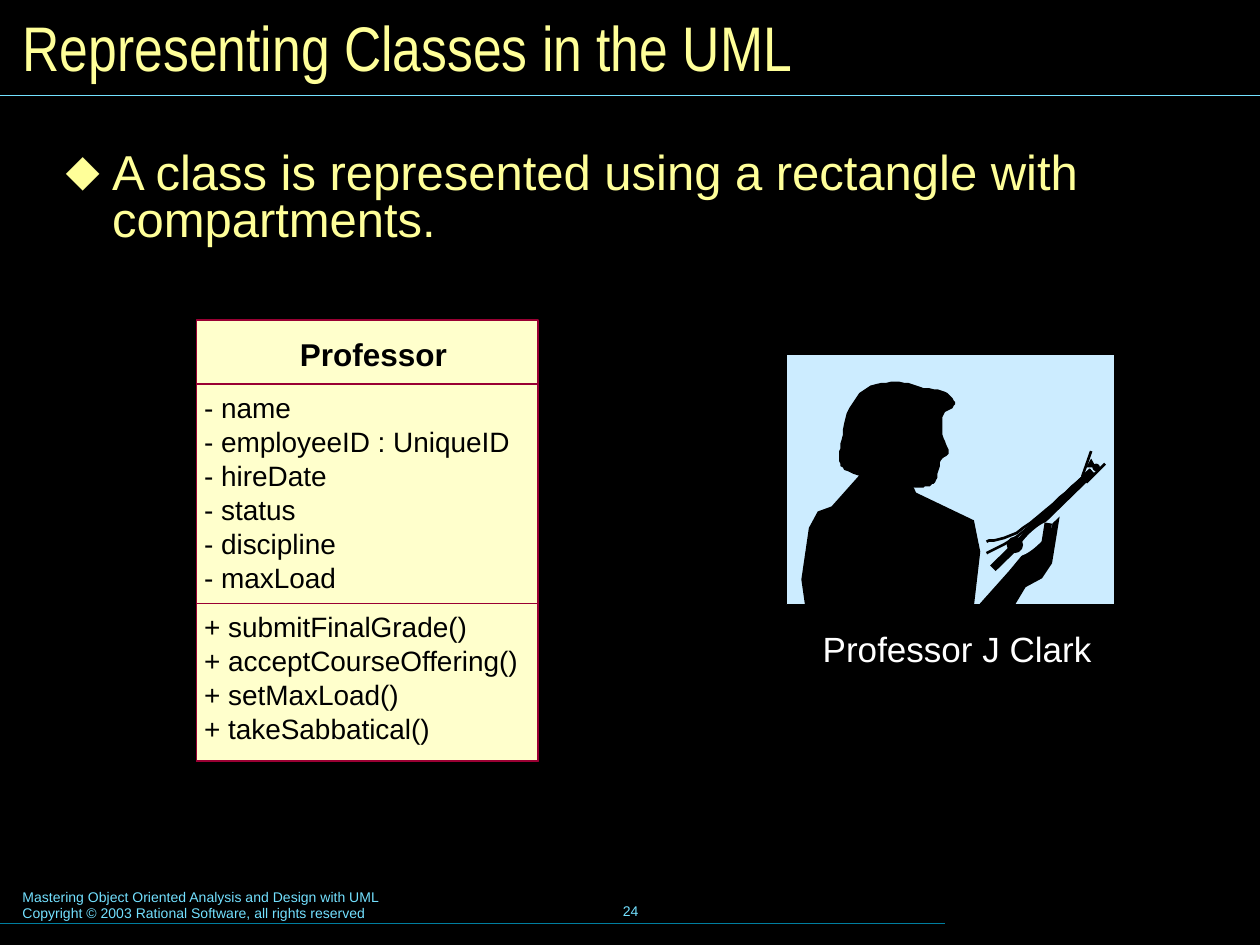
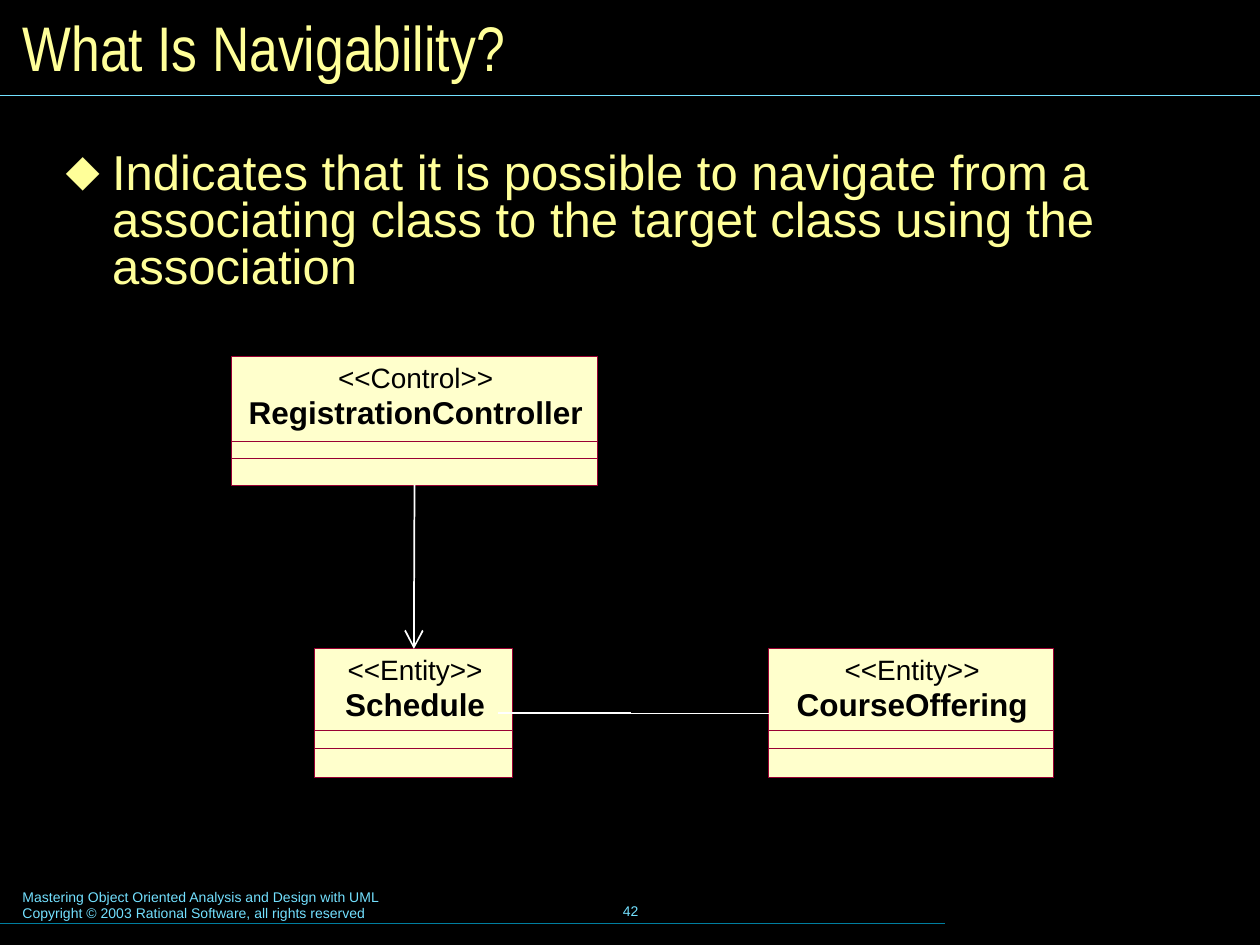
from lxml import etree
from pptx import Presentation
from pptx.dml.color import RGBColor
from pptx.enum.shapes import MSO_CONNECTOR, MSO_SHAPE
from pptx.enum.text import MSO_ANCHOR, MSO_AUTO_SIZE, PP_ALIGN
from pptx.oxml.ns import qn
from pptx.util import Pt

PX = 9144  # 100 px to the inch

BLACK = RGBColor(0x00, 0x00, 0x00)
WHITE = RGBColor(0xFF, 0xFF, 0xFF)
YELLOW = RGBColor(0xFF, 0xFF, 0x99)
CREAM = RGBColor(0xFF, 0xFF, 0xCC)
MAROON = RGBColor(0x99, 0x00, 0x33)
CYAN = RGBColor(0x73, 0xE1, 0xFF)
TEAL = RGBColor(0x00, 0x7E, 0x9F)
SKY = RGBColor(0xCC, 0xEC, 0xFF)

TITLE = dict(name="Arial Narrow", size=Pt(36))
BODY = dict(name="Arial", size=Pt(28))
CAPTION = dict(name="Arial", size=Pt(20))
CLASS_NAME = dict(name="Arial", size=Pt(18), bold=True)
MEMBER = dict(name="Arial", size=Pt(16))
FOOTER = dict(name="Arial", size=Pt(8))

SLIDES = [
    ("Representing Classes in the UML", "24", (888, 552),
     "A class is represented using a rectangle with compartments."),
    ("What Is Navigability?", "42", (910, 297),
     "Indicates that it is possible to navigate from a associating class "
     "to the target class using the association"),
]
COPYRIGHT = ("Mastering Object Oriented Analysis and Design with UML\n"
             "Copyright © 2003 Rational Software, all rights reserved")


def style(shape, fill=None, line=None, width=1):
    """Set fill and line (None for neither); drop theme style and shadow."""
    theme_style = shape._element.find(qn("p:style"))
    if theme_style is not None:
        shape._element.remove(theme_style)
    if hasattr(shape, "fill"):
        if fill is None:
            shape.fill.background()
        else:
            shape.fill.solid()
            shape.fill.fore_color.rgb = fill
    if line is None:
        shape.line.fill.background()
    else:
        shape.line.color.rgb = line
        shape.line.width = Pt(width)
    etree.SubElement(shape._element.spPr, qn("a:effectLst"))


def write(s, box, text, fmt, color, inset=(0, 0), align=PP_ALIGN.LEFT,
          anchor=MSO_ANCHOR.TOP, wrap=False, sp=None):
    """Write into placeholder sp, or into a new text box, at the given box."""
    sp = sp or s.shapes.add_textbox(0, 0, 0, 0)
    sp.left, sp.top, sp.width, sp.height = [v * PX for v in box]
    tf = sp.text_frame
    tf.auto_size = MSO_AUTO_SIZE.NONE
    tf.word_wrap = wrap
    tf.vertical_anchor = anchor
    tf.margin_left = tf.margin_right = inset[0] * PX
    tf.margin_top = tf.margin_bottom = inset[1] * PX
    tf.text = text
    for p in tf.paragraphs:
        p.alignment = align
        for r in p.runs:
            for key, value in fmt.items():
                setattr(r.font, key, value)
            r.font.color.rgb = color


prs = Presentation()
prs.slide_width, prs.slide_height = 1000 * PX, 750 * PX
background = prs.slide_master.background.fill
background.solid()
background.fore_color.rgb = BLACK

# Shared frame: title, bullet, footer and rules
for title, number, body_size, bullet in SLIDES:
    s = prs.slides.add_slide(prs.slide_layouts[1])
    body = s.placeholders[1]
    write(s, (8, 8, 984, 58), title, TITLE, YELLOW, (10, 5),
          anchor=MSO_ANCHOR.MIDDLE, wrap=True, sp=s.shapes.title)
    write(s, (40, 115, *body_size), bullet, BODY, YELLOW, (12, 6),
          wrap=True, sp=body)
    p = body.text_frame.paragraphs[0]
    p.line_spacing = 0.8
    p.space_before = Pt(0)
    pPr = p._p.get_or_add_pPr()
    pPr.set("marL", str(37 * PX))
    pPr.set("indent", str(-37 * PX))
    bu_color = etree.SubElement(pPr, qn("a:buClr"))
    etree.SubElement(bu_color, qn("a:srgbClr")).set("val", str(YELLOW))
    etree.SubElement(pPr, qn("a:buChar")).set("char", "⬥")

    write(s, (8, 700, 510, 37), COPYRIGHT, FOOTER, CYAN, (10, 5), wrap=True)
    write(s, (342, 698, 317, 50), number, FOOTER, CYAN, (10, 5),
          PP_ALIGN.CENTER, MSO_ANCHOR.MIDDLE)
    for y, length, color in [(733, 750, TEAL), (76, 1000, CYAN)]:
        rule = s.shapes.add_connector(MSO_CONNECTOR.STRAIGHT,
                                      0, y * PX, length * PX, y * PX)
        style(rule, line=color, width=0.75)

# Slide 1: silhouette, each part built from a few key points
s = prs.slides[0]
write(s, (641, 492, 237, 45), "Professor J Clark", CAPTION, WHITE, (12, 6))

shoulders = [(639, 481), (636, 460), (642, 419), (649, 406), (660, 402),
             (684, 375), (720, 375), (727, 391), (773, 413), (778, 438),
             (773, 481)]
hand = [(776, 481), (801, 453), (820, 430), (841, 410), (835, 447),
        (827, 459), (814, 466), (805, 481)]
head = [(677, 376), (666, 366), (668, 349), (674, 324), (688, 308),
        (711, 303), (730, 307), (750, 311), (758, 321), (749, 329),
        (748, 345), (753, 359), (747, 365), (743, 381), (736, 386),
        (722, 386)]
upper_string = [(783, 430), (807, 423), (841, 395), (866, 373)]
lower_string = [(783, 439), (807, 426), (841, 396), (866, 374)]

picture = s.shapes.add_group_shape().shapes
sky = picture.add_shape(MSO_SHAPE.RECTANGLE,
                        624 * PX, 281 * PX, 261 * PX, 199 * PX)
style(sky, SKY, BLACK, 0.75)

STEPS = 6  # pieces of curve between two key points
for points, closed, smooth in [
        (shoulders, True, False), (hand, True, False), (head, True, True),
        (upper_string, False, True), (lower_string, False, True)]:
    outline = points
    if smooth:
        # Catmull-Rom spline: a curve that passes through every key point
        before, after = (points[-1:], points[:2]) if closed else (points[:1], points[-1:])
        knots = before + points + after
        outline = []
        for a, b, c, d in zip(knots, knots[1:], knots[2:], knots[3:]):
            for t in [i / STEPS for i in range(STEPS + 1)]:
                outline.append([
                    round(b[k] + t / 2 * (c[k] - a[k]
                          + t * (2 * a[k] - 5 * b[k] + 4 * c[k] - d[k])
                          + t * t * (3 * b[k] - a[k] - 3 * c[k] + d[k])))
                    for k in (0, 1)])
    builder = picture.build_freeform(*outline[0], scale=PX)
    builder.add_line_segments(outline[1:], close=closed)
    part = builder.convert_to_shape()
    if closed:
        style(part, fill=BLACK)
    else:
        style(part, line=BLACK, width=1.5)

tip, fork, bow = (862, 383, 877, 368), (859, 378, 866, 358), (867, 374, 788, 451)
for ends, width in [(tip, 1.5), (fork, 1.5), (bow, 4.5)]:
    stick = picture.add_connector(MSO_CONNECTOR.STRAIGHT,
                                  *[v * PX for v in ends])
    style(stick, line=BLACK, width=width)

palm_gap, thumb = (802, 422, 38, 11), (799, 426, 13, 13)
peg, knob, finger = (862, 364, 8, 7), (867, 368, 6, 6), (827, 415, 6, 26)
for kind, box, angle, fill in [
        (MSO_SHAPE.OVAL, palm_gap, -44, SKY),
        (MSO_SHAPE.OVAL, thumb, 0, BLACK),
        (MSO_SHAPE.ISOSCELES_TRIANGLE, peg, 0, BLACK),
        (MSO_SHAPE.OVAL, knob, 0, BLACK),
        (MSO_SHAPE.RECTANGLE, finger, 9, BLACK)]:
    part = picture.add_shape(kind, *[v * PX for v in box])
    part.rotation = angle
    style(part, fill)

# Slide 1: Professor class, every compartment reaching down to the bottom
LEFT, WIDTH, BOTTOM = 156, 271, 604
for top, fill in [(254, CREAM), (305, None), (479, None)]:
    compartment = s.shapes.add_shape(MSO_SHAPE.RECTANGLE, LEFT * PX, top * PX,
                                     WIDTH * PX, (BOTTOM - top) * PX)
    style(compartment, fill, MAROON)
write(s, (238, 266, 117, 30), "Professor", CLASS_NAME, BLACK)

ATTRIBUTES = ["- name", "- employeeID : UniqueID", "- hireDate", "- status",
              "- discipline", "- maxLoad"]
OPERATIONS = ["+ submitFinalGrade()", "+ acceptCourseOffering()",
              "+ setMaxLoad()", "+ takeSabbatical()"]
MEMBER_H = 27
for top, members in [(310, ATTRIBUTES), (484, OPERATIONS)]:
    for i, member in enumerate(members):
        write(s, (LEFT + 6, top + MEMBER_H * i, 250, MEMBER_H), member,
              MEMBER, BLACK)

# Slide 2: three classes with two empty compartments each
s = prs.slides[1]
CLASSES = [
    ("RegistrationController", "<<Control>>", 184, 283, 290, 67),
    ("CourseOffering", "<<Entity>>", 610, 515, 226, 65),
    ("Schedule", "<<Entity>>", 250, 515, 157, 65),
]
CLASS_H, ATTRIBUTES_H = 102, 14
boxes = {}
for name, stereotype, x, y, w, head_h in CLASSES:
    for offset, fill in [(0, CREAM), (head_h, None),
                         (head_h + ATTRIBUTES_H, None)]:
        box = s.shapes.add_shape(MSO_SHAPE.RECTANGLE, x * PX, (y + offset) * PX,
                                 w * PX, (CLASS_H - offset) * PX)
        style(box, fill, MAROON, 0)
        boxes.setdefault(name, box)  # keeps the outer box
    for offset, h, text, fmt in [(3, 27, stereotype, MEMBER),
                                 (29, 30, name, CLASS_NAME)]:
        write(s, (x + 1, y + offset, w, h), text, fmt, BLACK,
              align=PP_ALIGN.CENTER)

# Slide 2: associations
arrow = s.shapes.add_connector(MSO_CONNECTOR.STRAIGHT, 0, 0, 0, 0)
arrow.begin_connect(boxes["RegistrationController"], 2)
arrow.end_connect(boxes["Schedule"], 0)
style(arrow, line=WHITE)
arrowhead = etree.SubElement(arrow.line._get_or_add_ln(), qn("a:tailEnd"))
for key, value in dict(type="arrow", w="lg", len="lg").items():
    arrowhead.set(key, value)

for end_x, width in [(395, 1), (610, 0)]:
    link = s.shapes.add_connector(MSO_CONNECTOR.STRAIGHT,
                                  501 * PX, 566 * PX, end_x * PX, 566 * PX)
    style(link, line=WHITE, width=width)
link.end_connect(boxes["CourseOffering"], 1)

prs.save("out.pptx")
